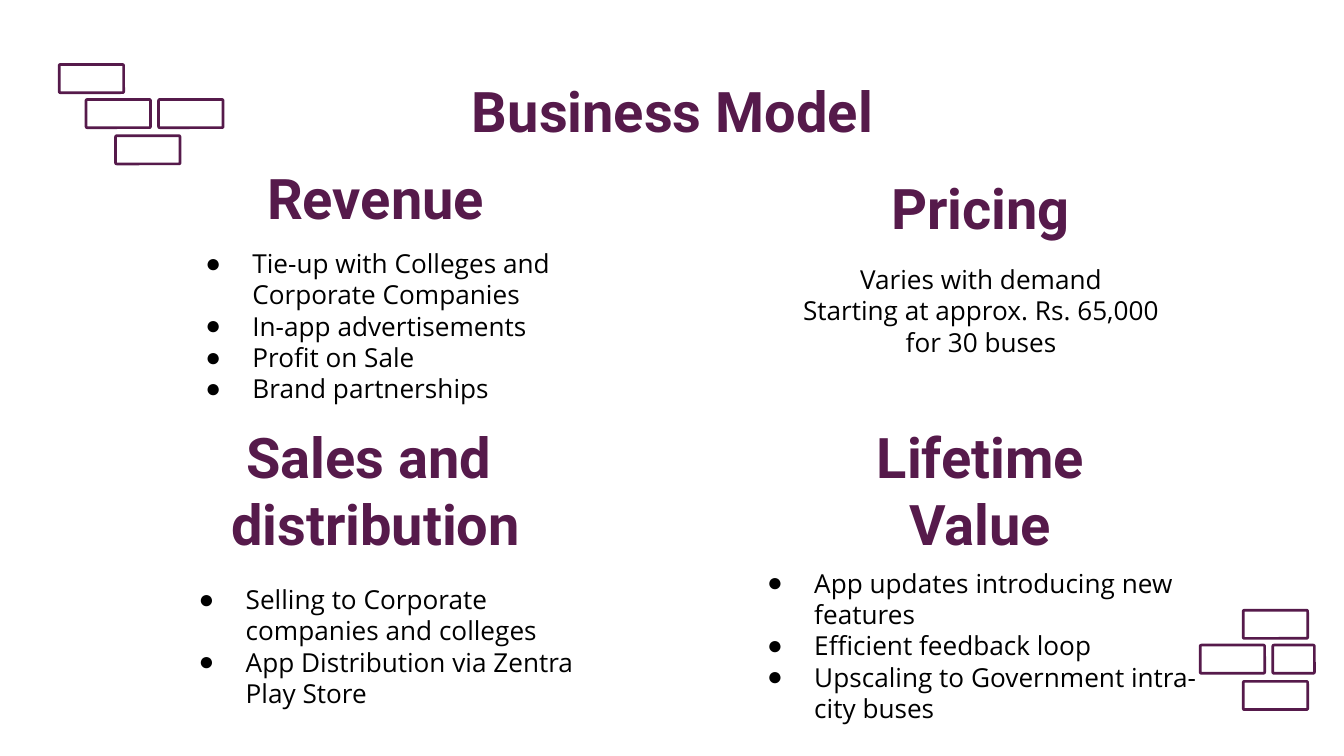
from pptx import Presentation
from pptx import util as u
from pptx.dml.color import RGBColor
from pptx.enum import shapes, text
from lxml import etree

PX = 9144  # EMU per px, 100 px to the inch
COLORS = {"plum": "561A4B", "black": "000000", "white": "FFFFFF"}


def px(n):
    return u.Emu(n * PX)


def color(name):
    return RGBColor.from_string(COLORS[name])


class Deck:
    def __init__(self, prs):
        self.s = prs.slides.add_slide(prs.slide_layouts[6])
        self.s.background.fill.solid()
        self.s.background.fill.fore_color.rgb = color("white")

    def text(self, box, lines, font, size, ink, bold=False, centred=True, spacing=None):
        tf = self.s.shapes.add_textbox(*map(px, box)).text_frame
        tf.word_wrap = True
        tf.vertical_anchor = text.MSO_ANCHOR.TOP
        tf.margin_left = tf.margin_right = tf.margin_top = tf.margin_bottom = px(10)
        tf.text = "\n".join(lines)
        for p in tf.paragraphs:
            p.alignment = text.PP_ALIGN.CENTER if centred else text.PP_ALIGN.LEFT
            if spacing:
                p.line_spacing = spacing
            for r in p.runs:
                r.font.name, r.font.size, r.font.bold = font, u.Pt(size), bold
                r.font.color.rgb = color(ink)
        return tf

    def heading(self, box, *lines):
        self.text(box, lines, "Roboto", 30, "plum", bold=True)

    def body(self, box, *lines, centred=True):
        return self.text(box, lines, "Open Sans", 14, "black",
                         centred=centred, spacing=u.Pt(16.8))

    def bullets(self, box, *lines):
        for p in self.body(box, *lines, centred=False).paragraphs:
            pPr = p._p.get_or_add_pPr()
            pPr.set("marL", str(px(50)))
            pPr.set("indent", str(px(-35)))
            ns = "{%s}" % pPr.nsmap["a"]
            clr = etree.SubElement(pPr, ns + "buClr")
            etree.SubElement(clr, ns + "srgbClr", val=COLORS["black"])
            etree.SubElement(pPr, ns + "buFont", typeface="Arial")
            etree.SubElement(pPr, ns + "buChar", char="●")

    def brick(self, left, top, width=50, height=23, line=2):
        # The outline is centred on the edge, so inset it by half its width
        box = (left + line // 2, top + line // 2, width - line, height - line)
        sp = self.s.shapes.add_shape(shapes.MSO_SHAPE.ROUNDED_RECTANGLE, *map(px, box))
        sp.adjustments[0] = 0.04
        sp.shadow.inherit = False
        sp.fill.background()
        sp.line.color.rgb = color("plum")
        sp.line.width = px(line)


def main():
    prs = Presentation()
    prs.slide_width = px(1000)
    prs.slide_height = prs.slide_width * 9 // 16
    deck = Deck(prs)

    # Headings
    deck.heading((79, 47, 843, 52), "Business Model")
    deck.heading((104, 112, 351, 48), "Revenue")
    deck.heading((14, 304, 531, 48), "Sales and ", "distribution")
    deck.heading((590, 304, 279, 48), "Lifetime Value")
    deck.heading((590, 119, 279, 48), "Pricing")

    # Details under each heading
    deck.bullets((128, 174, 360, 76), "Tie-up with Colleges and Corporate Companies",
                 "In-app advertisements", "Profit on Sale", "Brand partnerships")
    deck.bullets((123, 424, 335, 76), "Selling to Corporate companies and colleges",
                 "App Distribution via Zentra Play Store")
    deck.body((576, 186, 308, 76), "Varies with demand",
              "Starting at approx. Rs. 65,000 for 30 buses")
    deck.bullets((546, 412, 369, 76), "App updates introducing new features",
                 "Efficient feedback loop", "Upscaling to Government intra-city buses")

    # Brick ornaments, top left and bottom right
    for left, top in [(43, 47), (63, 73), (117, 73), (85, 100)]:
        deck.brick(left, top)
    for left, top, width in [(924, 453, 50), (892, 479, 50), (946, 479, 33), (924, 506, 50)]:
        deck.brick(left, top, width)

    prs.save("out.pptx")


if __name__ == "__main__":
    main()
